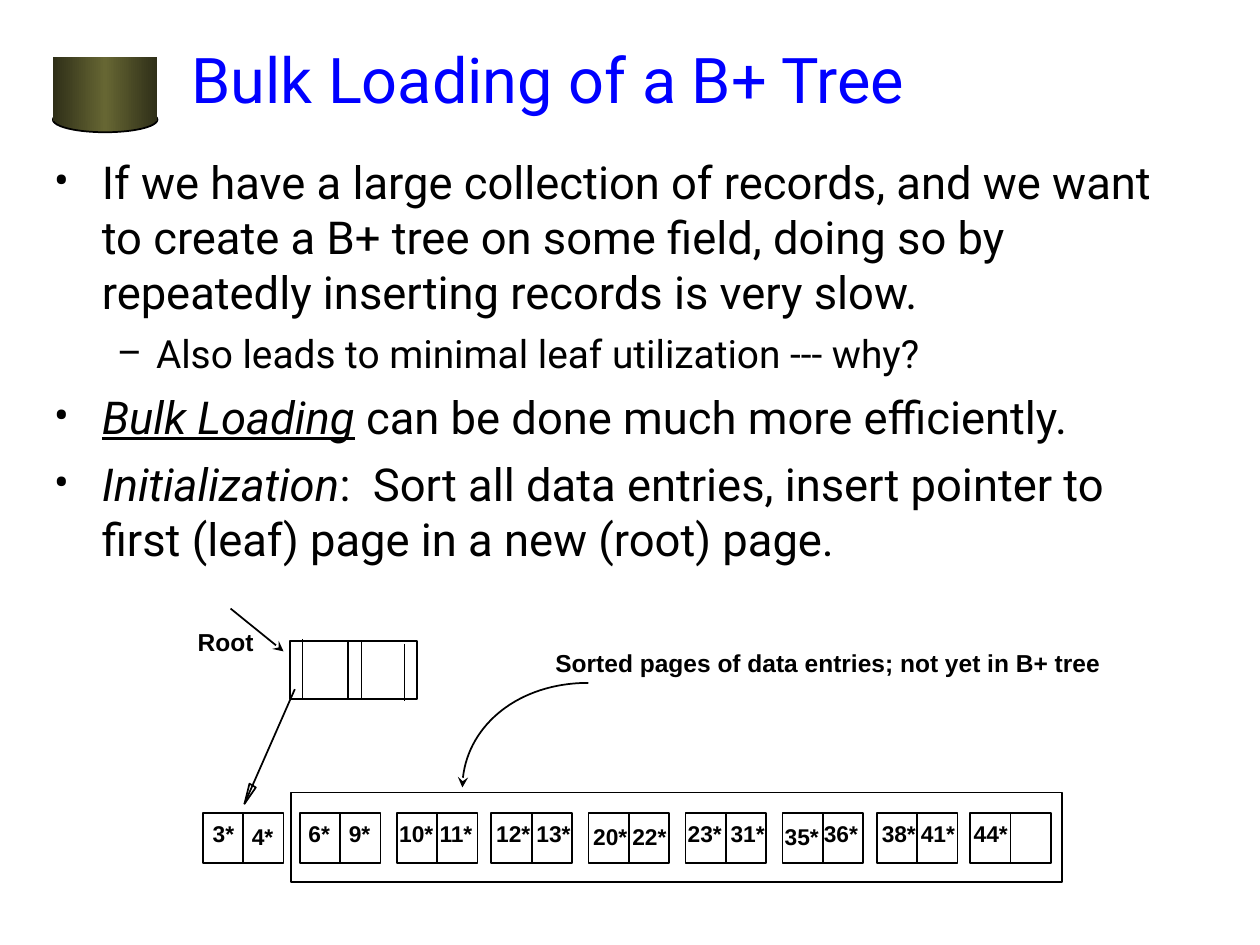
from copy import deepcopy

from lxml import etree
from pptx import Presentation
from pptx import util as u
from pptx.dml.color import RGBColor
from pptx.enum import shapes, text
from pptx.oxml.ns import qn

BLACK = RGBColor(0x00, 0x00, 0x00)
BLUE = RGBColor(0x00, 0x00, 0xFF)
OLIVE = RGBColor(0x66, 0x66, 0x33)
DARK_OLIVE = RGBColor(0x2F, 0x2F, 0x18)

presentation = Presentation()
presentation.slide_width = u.Inches(10)
presentation.slide_height = u.Inches(7.5)
slide = presentation.slides.add_slide(presentation.slide_layouts[6])


def write(paragraph, content, *, size, font="Arial", color=BLACK, bold=False, italic=False, underline=False):
    run = paragraph.add_run()
    run.text = content
    run.font.size = u.Pt(size)
    run.font.name = font
    run.font.color.rgb = color
    run.font.bold = bold
    run.font.italic = italic
    run.font.underline = underline


def add_line(start_x, start_y, end_x, end_y):
    line = slide.shapes.add_connector(
        shapes.MSO_CONNECTOR.STRAIGHT,
        u.Inches(start_x), u.Inches(start_y), u.Inches(end_x), u.Inches(end_y),
    )
    line.line.color.rgb = BLACK
    line.line.width = u.Pt(1)
    etree.SubElement(line._element.spPr, qn("a:effectLst"))
    return line


cylinder_parts = [
    (shapes.MSO_SHAPE.OVAL, 0.85, 0.2, True),
    (shapes.MSO_SHAPE.RECTANGLE, 0.45, 0.51, False),
]
for kind, top, height, outlined in cylinder_parts:
    shape = slide.shapes.add_shape(kind, u.Inches(0.42), u.Inches(top), u.Inches(0.83), u.Inches(height))
    shape.shadow.inherit = False
    shape.fill.gradient()
    shape.fill.gradient_angle = 0
    for stop in shape.fill.gradient_stops:
        stop.color.rgb = DARK_OLIVE
    stop_list = shape._element.spPr.find(".//" + qn("a:gsLst"))
    stop_list.insert(1, deepcopy(stop_list[0]))
    for stop, position in zip(shape.fill.gradient_stops, (0, 0.5, 1)):
        stop.position = position
    shape.fill.gradient_stops[1].color.rgb = OLIVE
    if outlined:
        shape.line.color.rgb = BLACK
        shape.line.width = u.Pt(1)
    else:
        shape.line.fill.background()

title = slide.shapes.add_textbox(u.Inches(1.42), u.Inches(0), u.Inches(7.83), u.Inches(1.25))
title.text_frame.word_wrap = True
title.text_frame.vertical_anchor = text.MSO_ANCHOR.MIDDLE
write(title.text_frame.paragraphs[0], "Bulk Loading of a B+ Tree", size=36, font="Roboto", color=BLUE)

body = slide.shapes.add_textbox(u.Inches(0.33), u.Inches(1.17), u.Inches(9.08), u.Inches(4.46))
body.text_frame.word_wrap = True
levels = [
    {"bullet": "•", "margin": 0.38, "hang": 0.38, "before": 7, "size": 25.9, "spacing": 31.4},
    {"bullet": "–", "margin": 0.81, "hang": 0.31, "before": 6, "size": 22.2, "spacing": 26.9},
]
points = [
    (0, [("If we have a large collection of records, and we want to create a B+ tree on some field, "
          "doing so by repeatedly inserting records is very slow.", {})]),
    (1, [("Also leads to minimal leaf utilization --- why?", {})]),
    (0, [("Bulk Loading", {"italic": True, "underline": True}), (" ", {"italic": True}),
         ("can be done much more efficiently.", {})]),
    (0, [("Initialization", {"italic": True}),
         (":  Sort all data entries, insert pointer to first (leaf) page in a new (root) page.", {})]),
]
for index, (level, runs) in enumerate(points):
    style = levels[level]
    paragraph = body.text_frame.add_paragraph() if index else body.text_frame.paragraphs[0]
    properties = paragraph._p.get_or_add_pPr()
    properties.set("marL", str(u.Inches(style["margin"])))
    properties.set("indent", str(-u.Inches(style["hang"])))
    bullet_color = etree.SubElement(properties, qn("a:buClr"))
    etree.SubElement(bullet_color, qn("a:srgbClr"), val=str(BLACK))
    etree.SubElement(properties, qn("a:buFont"), typeface="Roboto")
    etree.SubElement(properties, qn("a:buChar"), char=style["bullet"])
    paragraph.level = level
    paragraph.line_spacing = u.Pt(style["spacing"])
    paragraph.space_before = u.Pt(style["before"] if index else 0)
    for content, emphasis in runs:
        write(paragraph, content, size=style["size"], font="Roboto", **emphasis)

page_top, page_width, page_height = 6.45, 0.64, 0.4
page_lefts = [1.61, 2.38, 3.15, 3.9, 4.67, 5.44, 6.21, 6.96, 7.7]
root_box = (2.3, 5.09, 1.01, 0.46)
sorted_frame = (2.31, 6.29, 6.12, 0.71)
boxes = [(left, page_top, page_width, page_height) for left in page_lefts]
for box in boxes + [root_box, sorted_frame]:
    shape = slide.shapes.add_shape(shapes.MSO_SHAPE.RECTANGLE, *map(u.Inches, box))
    shape.shadow.inherit = False
    shape.fill.background()
    shape.line.color.rgb = BLACK
    shape.line.width = u.Pt(1)

for left in page_lefts:
    middle = left + page_width / 2
    add_line(middle, page_top, middle, page_top + page_height)
for x, top, bottom in [(2.4, 5.07, 5.54), (2.76, 5.09, 5.54), (2.87, 5.09, 5.54), (3.21, 5.11, 5.56)]:
    add_line(x, top, x, bottom)
add_line(2.34, 5.47, 1.94, 6.38)
root_arrow = add_line(1.83, 4.83, 2.25, 5.17)
etree.SubElement(root_arrow.line._get_or_add_ln(), qn("a:tailEnd"), type="stealth")

pointer_head = [(2.03, 6.25), (1.94, 6.38), (1.98, 6.22)]
label_curve = [(3.67, 6.25), (3.67, 5.79), (4.12, 5.42), (4.67, 5.42)]
for vertices, curved in [(pointer_head, False), (label_curve, True)]:
    corners = [(u.Inches(x), u.Inches(y)) for x, y in vertices]
    builder = slide.shapes.build_freeform(*corners[0])
    builder.add_line_segments(corners[1:], close=not curved)
    shape = builder.convert_to_shape()
    shape.shadow.inherit = False
    shape.fill.background()
    shape.line.color.rgb = BLACK
    shape.line.width = u.Pt(1)
    if curved:
        outline = shape._element.spPr.find(".//" + qn("a:path"))
        segments = outline.findall(qn("a:lnTo"))
        bezier = etree.SubElement(outline, qn("a:cubicBezTo"))
        for segment in segments:
            bezier.append(segment[0])
            outline.remove(segment)
        etree.SubElement(shape.line._get_or_add_ln(), qn("a:headEnd"), type="stealth")

entries = [
    ("3*", 1.59), ("4*", 1.9), ("6*", 2.35), ("9*", 2.67), ("10*", 3.07), ("11*", 3.39),
    ("12*", 3.84), ("13*", 4.16), ("20*", 4.61), ("22*", 4.92), ("23*", 5.36), ("31*", 5.7),
    ("35*", 6.13), ("36*", 6.44), ("38*", 6.9), ("41*", 7.21), ("44*", 7.63),
]
lowered = {"4*", "20*", "22*", "35*"}
labels = [
    (entry, left, 6.48 if entry in lowered else 6.46, 0.37 if len(entry) == 2 else 0.47, 0.32, 13)
    for entry, left in entries
]
labels += [
    ("Sorted pages of data entries; not yet in B+ tree", 4.31, 5.09, 4.53, 0.33, 14),
    ("Root", 1.47, 4.93, 0.65, 0.33, 14),
]
for content, left, top, width, height, size in labels:
    label = slide.shapes.add_textbox(u.Inches(left), u.Inches(top), u.Inches(width), u.Inches(height))
    label.text_frame.word_wrap = False
    write(label.text_frame.paragraphs[0], content, size=size, bold=True)

presentation.save("out.pptx")
